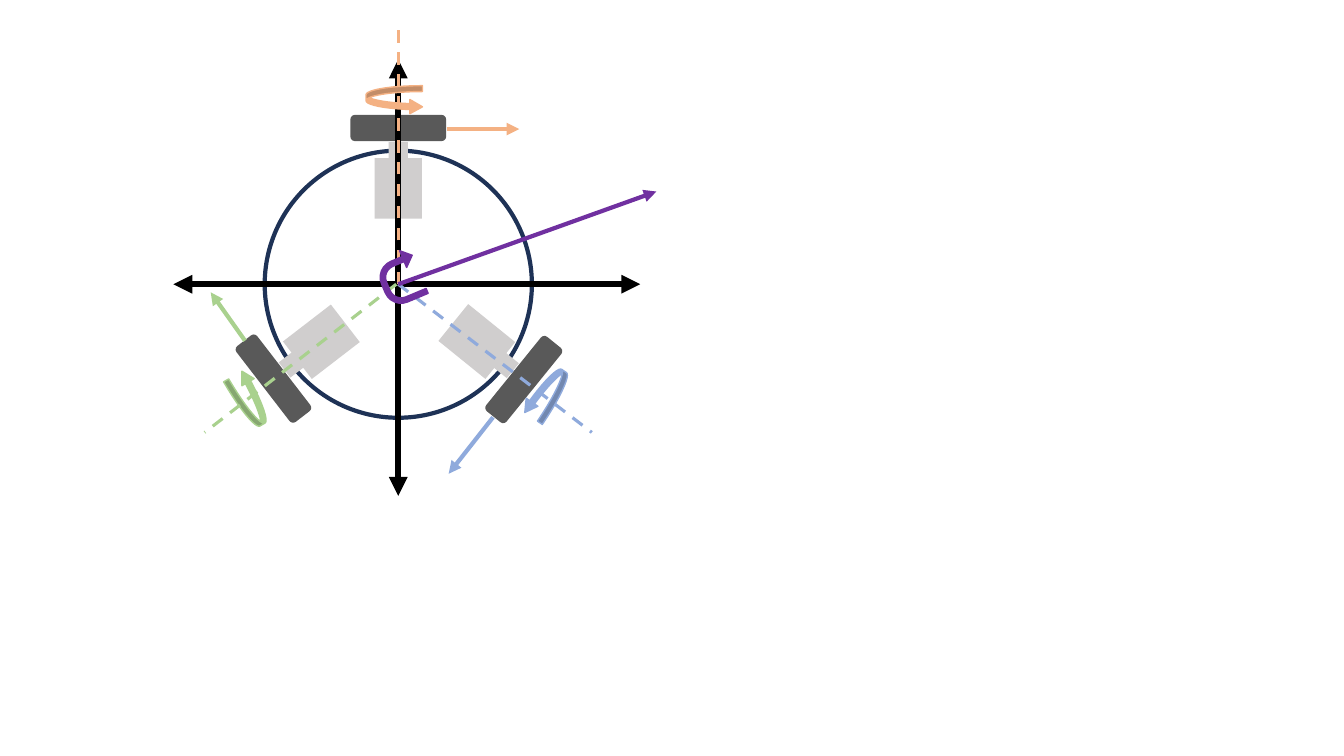
from dataclasses import dataclass
from math import cos, radians, sin
from typing import NamedTuple

from lxml.etree import SubElement
from pptx import Presentation
from pptx.dml.color import RGBColor
from pptx.enum.dml import MSO_LINE
from pptx.enum.shapes import MSO_CONNECTOR, MSO_SHAPE
from pptx.oxml.ns import qn
from pptx.util import Inches, Pt

BLUE, GREEN, ORANGE = "8FAADC", "A9D18E", "F4B183"
PURPLE, BLACK, NAVY = "7030A0", "000000", "1E3256"


class Point(NamedTuple):
    x: float
    y: float


class Part(NamedTuple):
    kind: MSO_SHAPE
    radius: float  # distance from the hub to the part's centre
    width: float
    height: float
    color: str


@dataclass
class Wheel:
    color: str
    hub: Point
    angle: float  # clockwise from straight up
    spin_center: Point
    spin_angle: float
    axis_start: Point
    axis_end: Point
    drive_start: Point
    drive_end: Point


CENTER = Point(3.95, 2.82)
PARTS = [
    Part(MSO_SHAPE.ROUNDED_RECTANGLE, 1.55, 0.95, 0.26, "595959"),  # tyre
    Part(MSO_SHAPE.RECTANGLE, 0.95, 0.47, 0.6, "D0CECE"),  # motor
    Part(MSO_SHAPE.RECTANGLE, 1.11, 0.19, 0.6, "D0CECE"),  # shaft
]
WHEELS = [
    Wheel(BLUE, Point(3.99, 2.79), 129, Point(5.42, 3.9), 214.2,
          CENTER, Point(5.87, 4.29), Point(4.89, 4.14), Point(4.45, 4.7)),
    Wheel(GREEN, Point(3.94, 2.81), 232.4, Point(2.48, 3.96), 329.8,
          Point(3.93, 2.82), Point(2.03, 4.29), Point(2.43, 3.38), Point(2.09, 2.9)),
    Wheel(ORANGE, CENTER, 0, Point(3.91, 0.99), 90,
          CENTER, Point(3.95, 0.25), Point(4.43, 1.28), Point(5.15, 1.28)),
]


def rgb(value: str) -> RGBColor:
    return RGBColor.from_string(value)


def add_figure(shapes, kind: MSO_SHAPE, center: Point, width: float, height: float,
               fill: str = "", line: str = "", weight: float = 1,
               angle: float = 0, adjustments: tuple = ()):
    """Draw a preset shape around its centre."""
    figure = shapes.add_shape(kind, Inches(center.x - width / 2),
                              Inches(center.y - height / 2),
                              Inches(width), Inches(height))
    figure.shadow.inherit = False
    figure.rotation = angle
    for index, value in enumerate(adjustments):
        figure.adjustments[index] = value
    if fill:
        figure.fill.solid()
        figure.fill.fore_color.rgb = rgb(fill)
    else:
        figure.fill.background()
    if line:
        figure.line.color.rgb = rgb(line)
        figure.line.width = Pt(weight)
    else:
        figure.line.fill.background()


def add_line(shapes, start: Point, end: Point, color: str, weight: float,
             arrows: tuple = (), dashed: bool = False):
    """Draw a straight line; arrows names its headEnd and tailEnd."""
    line = shapes.add_connector(MSO_CONNECTOR.STRAIGHT, Inches(start.x),
                                Inches(start.y), Inches(end.x), Inches(end.y))
    line.line.color.rgb = rgb(color)
    line.line.width = Pt(weight)
    if dashed:
        line.line.dash_style = MSO_LINE.DASH
    outline = line.line._get_or_add_ln()
    for arrow in arrows:
        SubElement(outline, qn(f"a:{arrow}"), type="triangle")
    SubElement(line._element.spPr, qn("a:effectLst"))


def add_wheel_unit(shapes, wheel: Wheel):
    """Group a tyre, motor and shaft along the wheel's direction."""
    unit = shapes.add_group_shape()
    turn = radians(wheel.angle)
    for part in PARTS:
        center = Point(wheel.hub.x + part.radius * sin(turn),
                       wheel.hub.y - part.radius * cos(turn))
        add_figure(unit.shapes, part.kind, center, part.width, part.height,
                   fill=part.color, angle=wheel.angle)


def main():
    deck = Presentation()
    deck.slide_width, deck.slide_height = Inches(13.33), Inches(7.5)
    shapes = deck.slides.add_slide(deck.slide_layouts[6]).shapes

    # Robot body and wheels
    add_figure(shapes, MSO_SHAPE.OVAL, CENTER, 2.65, 2.65, line=NAVY, weight=3)
    for wheel in reversed(WHEELS):
        add_wheel_unit(shapes, wheel)

    # Coordinate axes
    both_ends = ("headEnd", "tailEnd")
    add_line(shapes, Point(1.72, 2.82), Point(6.35, 2.82), BLACK, 4.5, both_ends)
    add_line(shapes, Point(3.95, 4.92), Point(3.95, 0.59), BLACK, 4.5, both_ends)

    # Wheel spin, wheel axes and drive directions
    for wheel in WHEELS:
        add_figure(shapes, MSO_SHAPE.CURVED_UP_ARROW, wheel.spin_center, 0.28, 0.56,
                   wheel.color, wheel.color, angle=wheel.spin_angle,
                   adjustments=(0.209, 0.541, 0.446))
    for wheel in WHEELS:
        add_line(shapes, wheel.axis_start, wheel.axis_end, wheel.color, 2.25,
                 dashed=True)
    for wheel in WHEELS:
        add_line(shapes, wheel.drive_start, wheel.drive_end, wheel.color, 3,
                 ("tailEnd",))

    # Body rotation and velocity
    add_figure(shapes, MSO_SHAPE.U_TURN_ARROW, Point(3.97, 2.755), 0.5, 0.39,
               PURPLE, PURPLE, angle=247.2,
               adjustments=(0.136, 0.232, 0.25, 0.438, 1))
    add_line(shapes, CENTER, Point(6.51, 1.9), PURPLE, 3, ("tailEnd",))

    deck.save("out.pptx")


if __name__ == "__main__":
    main()
